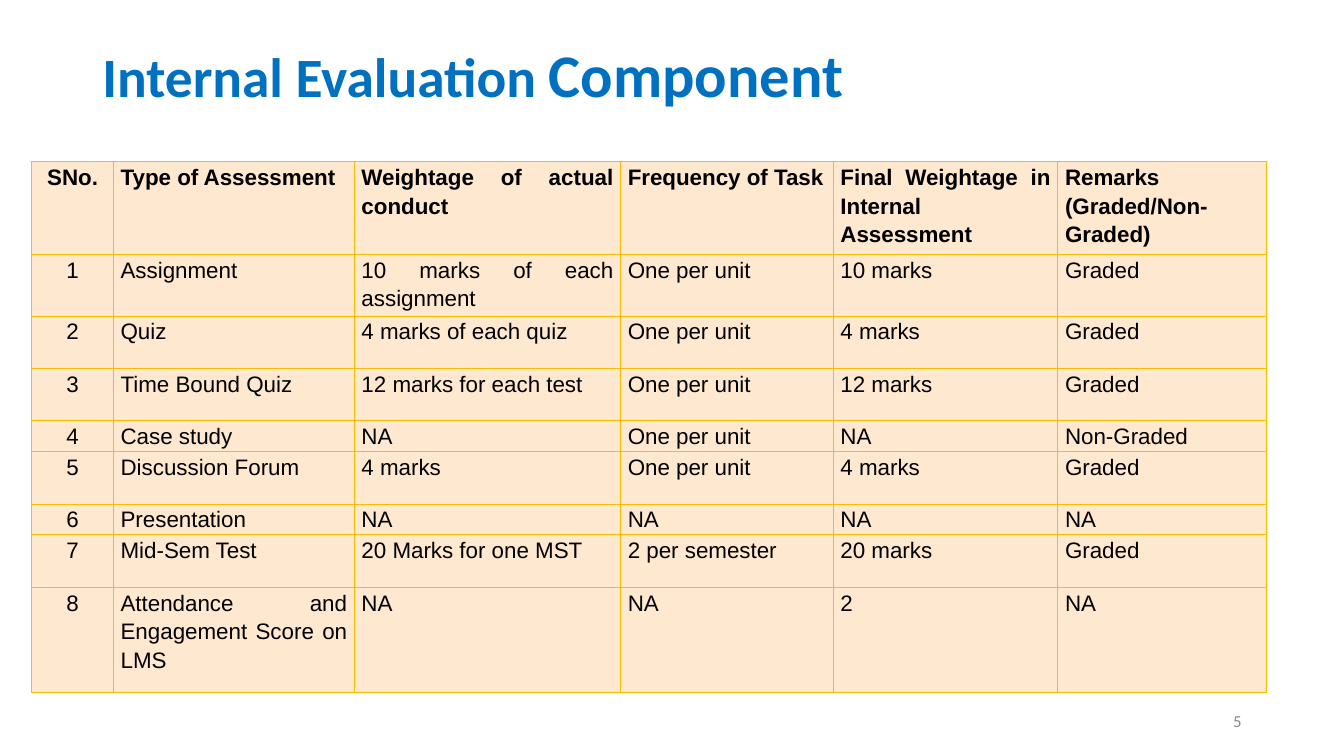
from lxml import etree
from pptx import Presentation
from pptx.dml.color import RGBColor
from pptx.enum.text import MSO_ANCHOR, PP_ALIGN
from pptx.oxml.ns import qn
from pptx.util import Cm, Pt

TOP, MIDDLE = MSO_ANCHOR.TOP, MSO_ANCHOR.MIDDLE
LEFT, CENTER, RIGHT, JUSTIFY = PP_ALIGN.LEFT, PP_ALIGN.CENTER, PP_ALIGN.RIGHT, PP_ALIGN.JUSTIFY

COLORS = {
    "title": "0070C0",
    "number": "888888",
    "text": "000000",
    "cell": "FFE8D0",
    "border": "F9BC00",
}

COLUMN_WIDTHS = [2.06, 6.07, 6.71, 5.36, 5.66, 5.26]
ROW_UNIT = 0.66
ROW_UNITS = [3, 2, 2, 2, 1, 2, 1, 2, 4]
ASSESSMENTS = [
    ["SNo.", "Type of Assessment", "Weightage of actual conduct", "Frequency of Task",
     "Final Weightage in Internal\nAssessment", "Remarks\n(Graded/Non-Graded)"],
    ["1", "Assignment", "10 marks of each assignment", "One per unit", "10 marks", "Graded"],
    ["2", "Quiz", "4 marks of each quiz", "One per unit", "4 marks", "Graded"],
    ["3", "Time Bound Quiz", "12 marks for each test", "One per unit", "12 marks", "Graded"],
    ["4", "Case study", "NA", "One per unit", "NA", "Non-Graded"],
    ["5", "Discussion Forum", "4 marks", "One per unit", "4 marks", "Graded"],
    ["6", "Presentation", "NA", "NA", "NA", "NA"],
    ["7", "Mid-Sem Test", "20 Marks for one MST", "2 per semester", "20 marks", "Graded"],
    ["8", "Attendance and Engagement Score on LMS", "NA", "NA", "2", "NA"],
]


def set_font(font, name, color, bold=False, size=None):
    font.name = name
    font.bold = bold
    font.color.rgb = RGBColor.from_string(COLORS[color])
    if size:
        font.size = Pt(size)


def add_text_box(slide, box, anchor):
    """Add a wrapping text box and return its first paragraph."""
    frame = slide.shapes.add_textbox(*map(Cm, box)).text_frame
    frame.word_wrap = True
    frame.vertical_anchor = anchor
    return frame.paragraphs[0]


def add_title(slide, box):
    paragraph = add_text_box(slide, box, TOP)
    paragraph.line_spacing = 0.9
    for text, size in [("Internal Evaluation ", 39.6), ("Component", 43.2)]:
        run = paragraph.add_run()
        run.text = text
        run.font.size = Pt(size)
    set_font(paragraph.font, "Calibri", "title", bold=True)
    for run in paragraph.runs:
        set_font(run.font, "Calibri", "title", bold=True)


def add_page_number(slide, box):
    paragraph = add_text_box(slide, box, MIDDLE)
    paragraph.text = "5"
    paragraph.alignment = RIGHT
    set_font(paragraph.font, "Calibri", "number", size=12)


def add_borders(cell):
    properties = cell._tc.get_or_add_tcPr()
    for side in ("a:lnL", "a:lnR", "a:lnT", "a:lnB"):
        line = etree.SubElement(properties, qn(side), w=str(Pt(0.75)))
        fill = etree.SubElement(line, qn("a:solidFill"))
        etree.SubElement(fill, qn("a:srgbClr"), val=COLORS["border"])


def fill_cell(cell, text, alignment, bold):
    add_borders(cell)
    cell.fill.solid()
    cell.fill.fore_color.rgb = RGBColor.from_string(COLORS["cell"])
    cell.margin_left = cell.margin_right = Cm(0.18)
    cell.margin_top = cell.margin_bottom = 0
    cell.text = text
    for paragraph in cell.text_frame.paragraphs:
        paragraph.alignment = alignment
        paragraph.line_spacing = 1.15
        set_font(paragraph.font, "Arial", "text", bold, 16)


def add_assessment_table(slide, left, top):
    table = slide.shapes.add_table(
        len(ASSESSMENTS), len(COLUMN_WIDTHS), Cm(left), Cm(top),
        Cm(sum(COLUMN_WIDTHS)), Cm(ROW_UNIT * sum(ROW_UNITS))).table
    table.first_row = table.horz_banding = False
    for column, width in zip(table.columns, COLUMN_WIDTHS):
        column.width = Cm(width)
    for row, units in zip(table.rows, ROW_UNITS):
        row.height = Cm(ROW_UNIT * units)
    for row_index, texts in enumerate(ASSESSMENTS):
        is_header = row_index == 0
        for column_index, text in enumerate(texts):
            alignment = CENTER if column_index == 0 else JUSTIFY
            if is_header and column_index == 1:
                alignment = LEFT
            fill_cell(table.cell(row_index, column_index), text, alignment, is_header)


def main():
    presentation = Presentation()
    presentation.slide_width = Cm(33.87)
    presentation.slide_height = Cm(19.05)
    slide = presentation.slides.add_slide(presentation.slide_layouts[6])
    add_title(slide, (2.33, 1.01, 29.21, 3.68))
    add_page_number(slide, (23.92, 17.66, 7.62, 1.01))
    add_assessment_table(slide, 0.8, 4.07)
    presentation.save("out.pptx")


if __name__ == "__main__":
    main()
